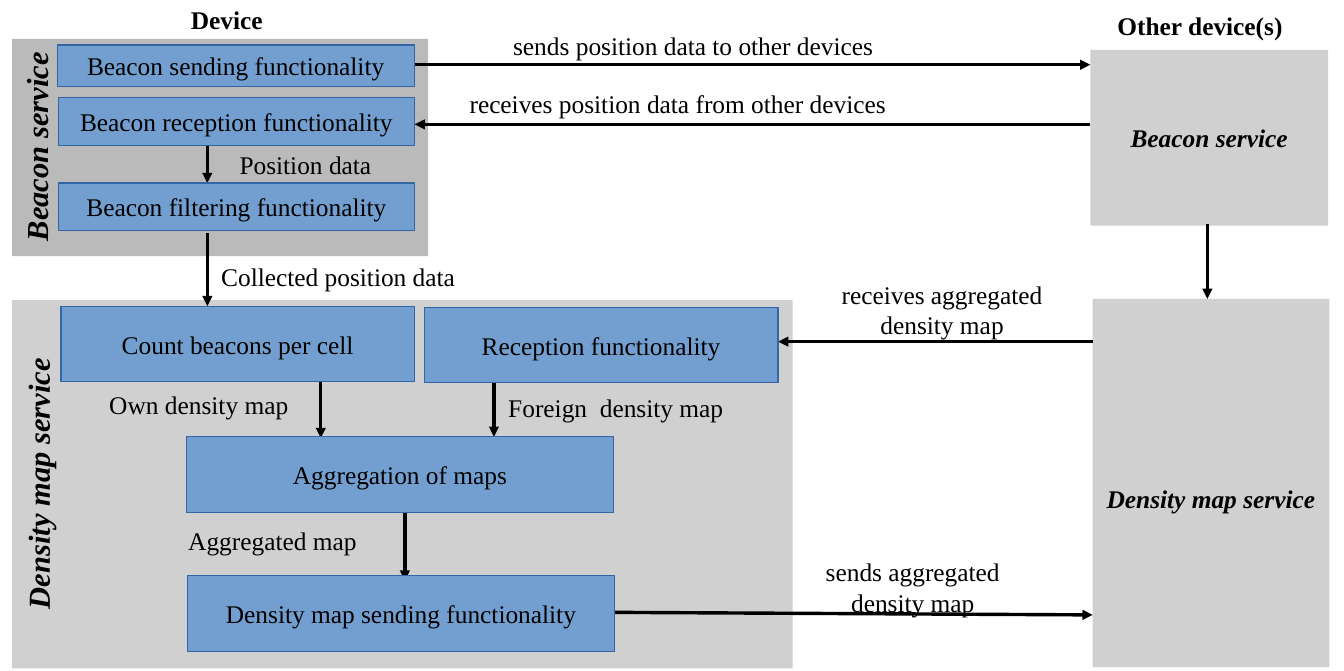
"""Build the beacon and density map service diagram."""
from lxml.etree import SubElement
from pptx import Presentation
from pptx.dml.color import RGBColor
from pptx.enum.shapes import MSO_CONNECTOR, MSO_SHAPE
from pptx.enum.text import MSO_ANCHOR, PP_ALIGN
from pptx.oxml.ns import qn
from pptx.util import Pt

BLACK = RGBColor(0x00, 0x00, 0x00)
BLUE = RGBColor(0x72, 0x9F, 0xCF)
BLUE_EDGE = RGBColor(0x34, 0x65, 0xA4)
GREY = RGBColor(0xD0, 0xD0, 0xD0)
DARK_GREY = RGBColor(0xBA, 0xBA, 0xBA)
FONT = "Times New Roman"
LABEL_HEIGHT = 25.2
SIDE_TITLE_HEIGHT = 46.8

# text, left, top, width, height, fill, top inset
PANELS = [
    ("", 7.2, 177.1, 460.8, 217.4, GREY, 3.6),
    ("", 7.2, 23, 245.5, 128.2, DARK_GREY, 3.6),
    ("Beacon service", 643.7, 29.5, 140.4, 103.7, GREY, 3.6),
    ("Density map service", 645.1, 176.4, 139.7, 217.4, GREY, 21),
]
# text, left, top, width, height
FUNCTIONS = [
    ("Beacon sending functionality", 33.8, 26.6, 211, 24.5),
    ("Beacon reception functionality", 34.6, 57.6, 210.2, 28.1),
    ("Beacon filtering functionality", 34.6, 108, 210.2, 28.1),
    ("Count beacons per cell", 36, 180.7, 208.8, 44.6),
    ("Reception functionality", 250.6, 181.4, 208.8, 44.6),
    ("Aggregation of maps", 110.2, 257.8, 252, 44.6),
    ("Density map sending functionality", 110.9, 339.8, 252, 44.6),
]
# start x, start y, end x, end y
ARROWS = [
    (244.8, 38.2, 643.7, 38.2),
    (643.7, 73.4, 244.8, 73.4),
    (122.4, 85.7, 122.4, 108),
    (122.4, 137.5, 122.4, 180.7),
    (645.1, 201.6, 459.4, 201.6),
    (189.4, 225.4, 189.4, 258.5),
    (291.6, 225.4, 291.6, 257.8),
    (239, 302.4, 239, 342.7),
    (362.9, 361.4, 645.1, 362.9),
    (712.8, 132.5, 712.8, 176.4),
]
# text, left, top, width
HEADINGS = [
    ("Device", 51.1, -1.4, 165.6),
    ("Other device(s)", 625.7, 2.2, 165.6),
]
LABELS = [
    ("sends position data to other devices", 293.8, 14.4, 231.1),
    ("receives position data from other devices", 249.1, 48.2, 302.4),
    ("Position data", 18, 84.2, 324.7),
    ("Collected position data", 37.4, 150.5, 324.7),
    ("Own density map", 34.6, 226.1, 165.6),
    ("Foreign  density map", 280.8, 227.5, 165.6),
    ("Aggregated map", 54, 306, 213.8),
    ("receives aggregated\ndensity map", 450, 170, 212.4),
    ("sends aggregated\ndensity map", 432.7, 333.8, 212.4),
]
# text, left, top, width before turning
SIDE_TITLES = [
    ("Beacon service", -37.4, 58.3, 135.4),
    ("Density map service", -57.6, 254.2, 177.8),
]


def write(shape, text, size=15, bold=False, italic=False, align=PP_ALIGN.CENTER):
    """Fill a shape with uniformly formatted paragraphs."""
    frame = shape.text_frame
    frame.text = text
    frame.word_wrap = False
    frame.vertical_anchor = MSO_ANCHOR.MIDDLE
    for paragraph in frame.paragraphs:
        paragraph.alignment = align
        font = paragraph.font
        font.name, font.size = FONT, Pt(size)
        font.bold, font.italic = bold, italic
        font.color.rgb = BLACK


def add_box(slide, bounds, fill, edge=None):
    """Add a flat rectangle, outlined only when an edge colour is given."""
    box = slide.shapes.add_shape(MSO_SHAPE.RECTANGLE, *map(Pt, bounds))
    box.shadow.inherit = False
    box.fill.solid()
    box.fill.fore_color.rgb = fill
    if edge is None:
        box.line.fill.background()
    else:
        box.line.color.rgb = edge
        box.line.width = Pt(0)
    return box


def add_arrow(slide, ends):
    """Add a hairline connector with a triangle at its end."""
    arrow = slide.shapes.add_connector(MSO_CONNECTOR.STRAIGHT, *map(Pt, ends))
    arrow.line.color.rgb = BLACK
    arrow.line.width = Pt(0)
    SubElement(arrow.line._get_or_add_ln(), qn("a:tailEnd"), type="triangle")
    SubElement(arrow._element.spPr, qn("a:effectLst"))


def add_label(slide, left, top, width, height=LABEL_HEIGHT):
    """Add an empty text box."""
    return slide.shapes.add_textbox(*map(Pt, (left, top, width, height)))


def main():
    """Compose the slide from back to front and save it."""
    deck = Presentation()
    deck.slide_width, deck.slide_height = Pt(793.44), Pt(396)
    slide = deck.slides.add_slide(deck.slide_layouts[6])

    for text, *bounds, fill, inset in PANELS:
        panel = add_box(slide, bounds, fill)
        if text:
            write(panel, text, bold=True, italic=True)
            panel.text_frame.margin_top = Pt(inset)
    for ends in ARROWS:
        add_arrow(slide, ends)
    for text, *bounds in FUNCTIONS:
        write(add_box(slide, bounds, BLUE, BLUE_EDGE), text)
    for text, *place in HEADINGS:
        write(add_label(slide, *place), text, bold=True)
    for text, *place in LABELS:
        write(add_label(slide, *place), text)
    for text, *place in SIDE_TITLES:
        side_title = add_label(slide, *place, SIDE_TITLE_HEIGHT)
        write(side_title, text, 18, True, True, PP_ALIGN.LEFT)
        side_title.text_frame.word_wrap = True
        side_title.text_frame.vertical_anchor = MSO_ANCHOR.TOP
        side_title.rotation = 270

    deck.save("out.pptx")


if __name__ == "__main__":
    main()
